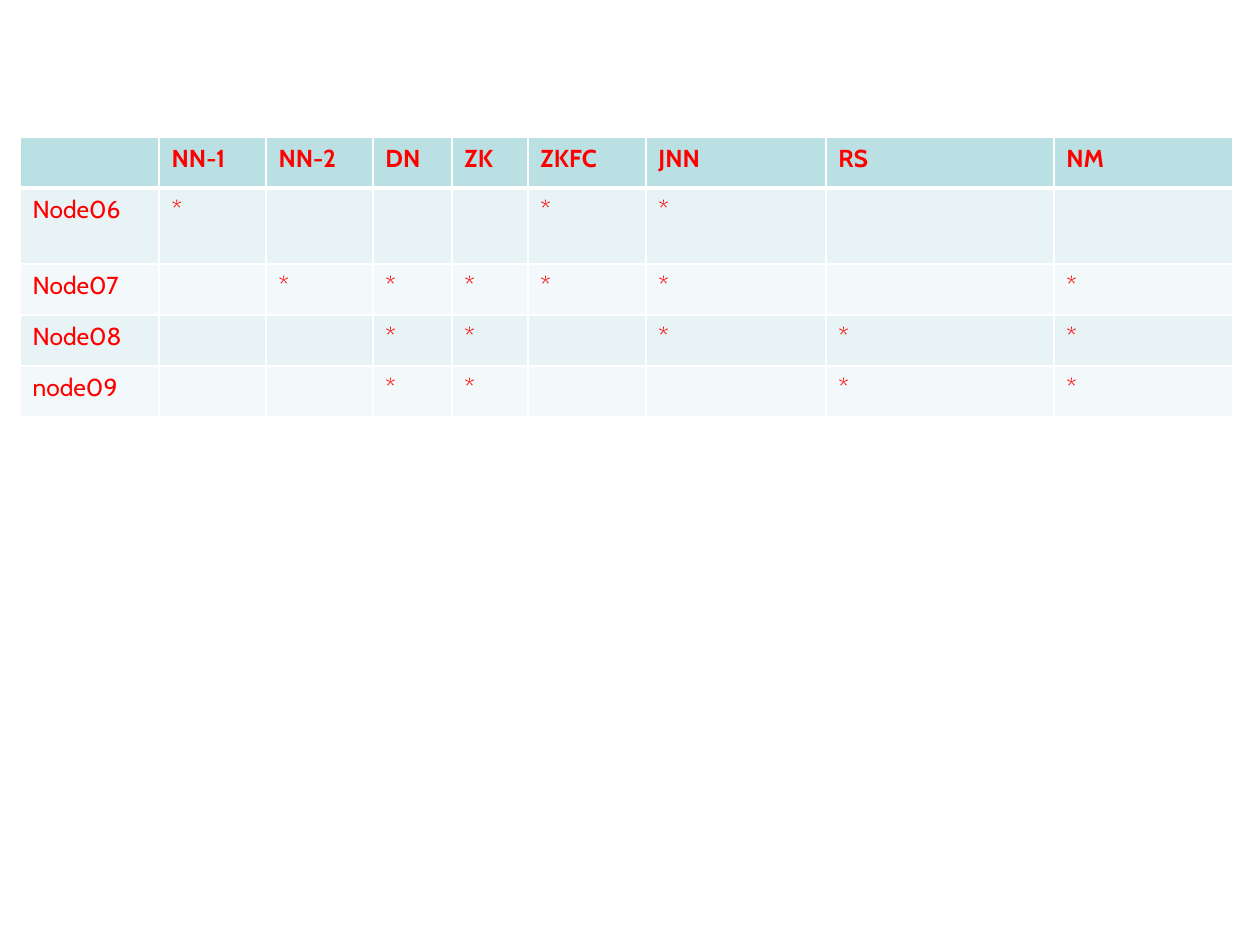
"""Build a slide with a table of the services that run on each node."""
from lxml.etree import SubElement
from pptx import Presentation
from pptx.dml.color import RGBColor as RGB
from pptx.oxml.ns import qn
from pptx.util import Pt

PX = 914400 // 126
COLORS = {"head": "BBE0E3", "odd": "E7F3F4", "even": "F3F9FA", "text": "FF0000", "border": "FFFFFF"}
LEFT, TOP = 20, 137
COLS = [139, 107, 107, 79, 76, 118, 180, 228, 179]
ROWS = [51, 76, 51, 51, 51]
SERVICES = ["NN-1", "NN-2", "DN", "ZK", "ZKFC", "JNN", "RS", "NM"]
NODES = {
    "Node06": ["NN-1", "ZKFC", "JNN"],
    "Node07": ["NN-2", "DN", "ZK", "ZKFC", "JNN", "NM"],
    "Node08": ["DN", "ZK", "JNN", "RS", "NM"],
    "node09": ["DN", "ZK", "RS", "NM"],
}


def add_borders(cell, widths):
    tcPr = cell._tc.get_or_add_tcPr()
    for side, width in widths.items():
        ln = SubElement(tcPr, qn(f"a:ln{side}"), w=str(Pt(width)))
        fill = SubElement(ln, qn("a:solidFill"))
        SubElement(fill, qn("a:srgbClr"), val=COLORS["border"])


prs = Presentation()
prs.slide_width, prs.slide_height = 1260 * PX, 945 * PX
s = prs.slides.add_slide(prs.slide_layouts[6])

grid = [[""] + SERVICES]
for node, running in NODES.items():
    grid.append([node] + ["*" if name in running else "" for name in SERVICES])

table = s.shapes.add_table(
    len(ROWS), len(COLS), LEFT * PX, TOP * PX, sum(COLS) * PX, sum(ROWS) * PX
).table
for col, width in zip(table.columns, COLS):
    col.width = width * PX
for row, height in zip(table.rows, ROWS):
    row.height = height * PX

for i, texts in enumerate(grid):
    band = "head" if i == 0 else "odd" if i % 2 else "even"
    font = {"size": Pt(14), "name": "Cabin", "bold": i == 0}
    widths = {"L": 1, "R": 1, "T": 3 if i == 1 else 1, "B": 3 if i == 0 else 1}
    for j, text in enumerate(texts):
        cell = table.cell(i, j)
        add_borders(cell, widths)
        cell.fill.solid()
        cell.fill.fore_color.rgb = RGB.from_string(COLORS[band])
        r = cell.text_frame.paragraphs[0].add_run()
        r.text = text
        for key, value in font.items():
            setattr(r.font, key, value)
        r.font.color.rgb = RGB.from_string(COLORS["text"])

prs.save("out.pptx")
